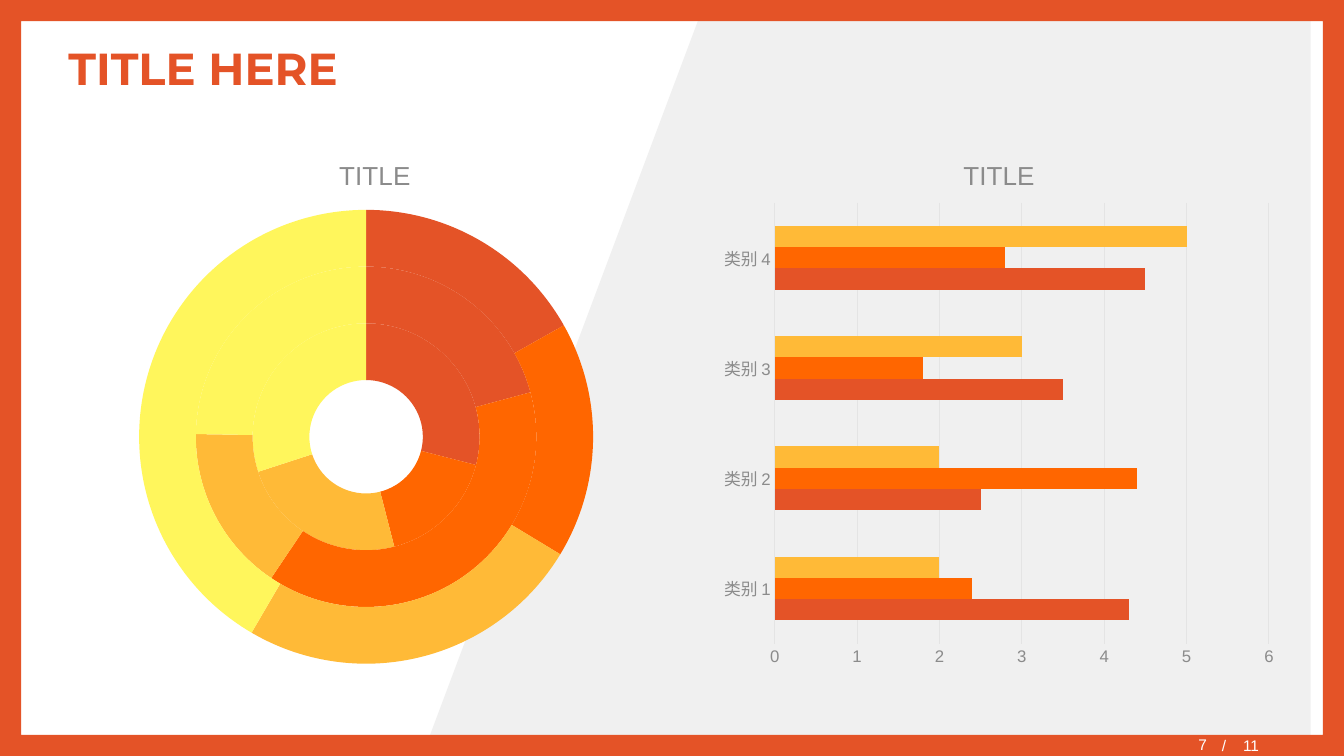
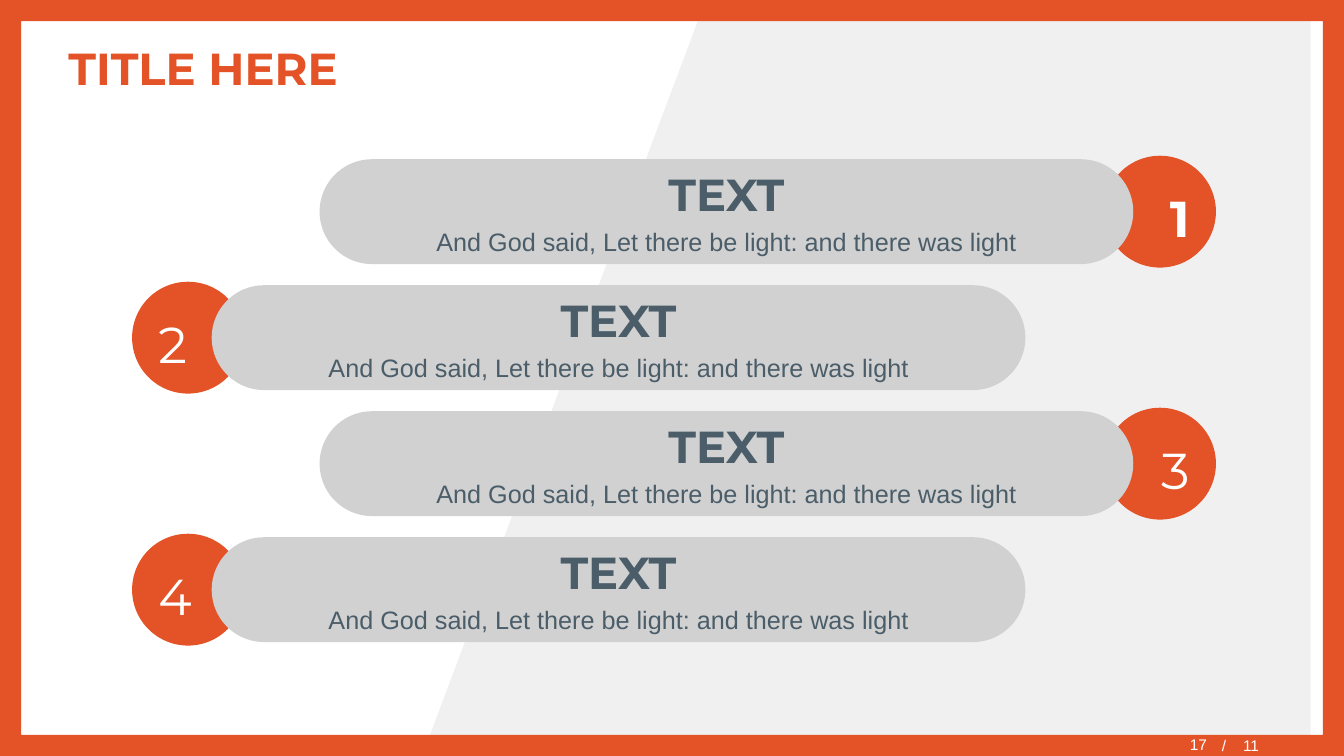
from lxml import etree
from pptx import Presentation
from pptx import util as u
from pptx.chart.data import CategoryChartData
from pptx.dml.color import RGBColor
from pptx.enum import chart as charts, shapes, text
from pptx.oxml import parse_xml
from pptx.oxml.ns import nsdecls, qn

WIDTH, HEIGHT = 13.33, 7.5
RED = RGBColor(0xE4, 0x53, 0x27)
ORANGE = RGBColor(0xFF, 0x66, 0x00)
AMBER = RGBColor(0xFF, 0xBA, 0x37)
YELLOW = RGBColor(0xFF, 0xF6, 0x5C)
WHITE = RGBColor(0xFF, 0xFF, 0xFF)
PANEL = RGBColor(0xF0, 0xF0, 0xF0)
PILL = RGBColor(0xD1, 0xD1, 0xD1)
SLATE = RGBColor(0x4A, 0x5D, 0x69)
GREY = RGBColor(0x8B, 0x8B, 0x8B)
GRID = RGBColor(0xE4, 0xE4, 0xE4)
PALETTE = [RED, ORANGE, AMBER, YELLOW]

TITLE = "TITLE HERE"
TITLE_FONT = dict(name="Montserrat", size=32, bold=True, color=RED)
HEADING_FONT = {**TITLE_FONT, "color": SLATE}
BODY_FONT = dict(name="Arial", size=18, color=SLATE)
NUMBER_FONT = dict(name="Montserrat", size=36, color=WHITE)
PAGE_FONT = dict(name="Arial", size=11, color=WHITE)
CHART_TITLE_FONT = dict(name="Arial", size=18.6, bold=False, color=GREY)
AXIS_FONT = dict(name="Arial", size=12, color=GREY)

LEFT, CENTER, RIGHT = (text.PP_ALIGN.LEFT, text.PP_ALIGN.CENTER,
                       text.PP_ALIGN.RIGHT)
PAGE_TOTAL = "/\t11"

CHART_TOP, CHART_WIDTH, CHART_HEIGHT = 1.31, 5.7, 5.4
CHART_TITLE = "TITLE"
TITLE_SPOT = dict(x=0.44, y=0.04)
RINGS = dict(
    kind=charts.XL_CHART_TYPE.DOUGHNUT, left=0.81,
    plot=dict(x=0.1, y=0.14, w=0.79, h=0.84),
    categories=["1", "2", "3", "4"],
    series=[(29, 17, 24, 30), (21, 39, 16, 25), (17, 17, 25, 42)],
)
BARS = dict(
    kind=charts.XL_CHART_TYPE.BAR_CLUSTERED, left=7,
    plot=dict(x=0.12, y=0.13, w=0.86, h=0.81),
    categories=["类别 1", "类别 2", "类别 3", "类别 4"],
    series=[(4.3, 2.5, 3.5, 4.5), (2.4, 4.4, 1.8, 2.8), (2, 2, 3, 5)],
)

VERSE = "And God said, Let there be light: and there was light"
STEPS = [("1", "TEXT", VERSE), ("2", "TEXT", VERSE),
         ("3", "TEXT", VERSE), ("4", "TEXT", VERSE)]
PILL_WIDTH, PILL_HEIGHT, CIRCLE = 8.07, 1.04, 1.11
STEP_TOP, STEP_PITCH = 1.58, 1.25
STEP_SIDES = [dict(circle=10.95, pill=3.17, align=RIGHT),
              dict(circle=1.31, pill=2.1, align=LEFT)]


def inches(*lengths):
    return [u.Inches(length) for length in lengths]


def style(font, values):
    for key, value in values.items():
        if key == "color":
            font.color.rgb = value
        else:
            setattr(font, key, u.Pt(value) if key == "size" else value)


def write(box, lines, align=LEFT, **spacing):
    """Fill a box with one paragraph per (words, font) pair."""
    frame = box.text_frame
    frame.word_wrap = True
    frame.vertical_anchor = text.MSO_ANCHOR.MIDDLE
    for index, (words, font) in enumerate(lines):
        para = frame.add_paragraph() if index else frame.paragraphs[0]
        para.alignment = align
        for key, value in spacing.items():
            setattr(para, key, value)
        if index:
            para.space_before = u.Pt(2)
        span = para.add_run()
        span.text = words
        style(span.font, font)
    return frame


def paint(shape, color):
    shape.shadow.inherit = False
    shape.fill.solid()
    shape.fill.fore_color.rgb = color
    shape.line.fill.background()
    return shape


def add_shape(page, kind, color, *bounds):
    return paint(page.shapes.add_shape(kind, *inches(*bounds)), color)


def add_page(deck, number):
    """Add a slide with the shared panel, frame, title and page number."""
    page = deck.slides.add_slide(deck.slide_layouts[6])
    outline = page.shapes.build_freeform(7.38, 0, scale=u.Inches(1))
    outline.add_line_segments([(WIDTH, 0), (WIDTH, HEIGHT), (3.5, HEIGHT)])
    paint(outline.convert_to_shape(), PANEL)
    border = add_shape(page, shapes.MSO_SHAPE.FRAME, RED, 0, 0, WIDTH, HEIGHT)
    border.adjustments[0] = 0.028

    title = page.shapes.add_textbox(*inches(0.58, 0.28, 12.18, 0.79))
    write(title, [(TITLE, TITLE_FONT)])

    total = page.shapes.add_textbox(*inches(12.02, 7.3, 1.31, 0.18))
    frame = write(total, [(PAGE_TOTAL, PAGE_FONT)])
    tabs = etree.SubElement(frame.paragraphs[0]._p.get_or_add_pPr(),
                            qn("a:tabLst"))
    etree.SubElement(tabs, qn("a:tab"), pos=str(u.Inches(0.21)), algn="l")

    current = page.shapes.add_textbox(*inches(9.48, 7.32, 2.59, 0.18))
    frame = write(current, [(str(number), PAGE_FONT)], RIGHT)
    frame.margin_top, frame.margin_bottom = inches(0, 0.05)
    return page


def place(element, index, spot, target=""):
    """Give a chart part a manual layout, in shares of the chart."""
    for old in element.findall(qn("c:layout")):
        element.remove(old)
    modes = "".join(f'<c:{key}Mode val="edge"/>' for key in "xy")
    sizes = "".join(f'<c:{key} val="{value}"/>' for key, value in spot.items())
    element.insert(index, parse_xml(
        f'<c:layout {nsdecls("c")}><c:manualLayout>{target}{modes}{sizes}'
        "</c:manualLayout></c:layout>"))


def add_chart(page, spec_data):
    data = CategoryChartData()
    data.categories = spec_data["categories"]
    for index, values in enumerate(spec_data["series"], 1):
        data.add_series(f"Series {index}", values)
    bounds = inches(spec_data["left"], CHART_TOP, CHART_WIDTH, CHART_HEIGHT)
    chart = page.shapes.add_chart(spec_data["kind"], *bounds, data).chart
    style(chart.font, AXIS_FONT)
    chart.has_legend = False
    chart.has_title = True
    para = chart.chart_title.text_frame.paragraphs[0]
    span = para.add_run()
    span.text = CHART_TITLE
    style(span.font, CHART_TITLE_FONT)
    place(chart.chart_title._element, 1, TITLE_SPOT)
    place(chart._chartSpace.find(".//" + qn("c:plotArea")), 0,
          spec_data["plot"], '<c:layoutTarget val="inner"/>')
    return chart


def fill_part(part, color):
    part.format.fill.solid()
    part.format.fill.fore_color.rgb = color
    part.format.line.fill.background()


def add_rings(page):
    chart = add_chart(page, RINGS)
    plot = chart.plots[0]
    plot.vary_by_categories = True
    plot.has_data_labels = False
    for ring in plot.series:
        for index, color in enumerate(PALETTE):
            fill_part(ring.points[index], color)


def add_bars(page):
    chart = add_chart(page, BARS)
    plot = chart.plots[0]
    plot.vary_by_categories = False
    plot.gap_width, plot.overlap = 219, 0
    for series, color in zip(plot.series, PALETTE):
        fill_part(series, color)

    scale, names = chart.value_axis, chart.category_axis
    for axis in (scale, names):
        axis.major_tick_mark = axis.minor_tick_mark = charts.XL_TICK_MARK.NONE
        style(axis.tick_labels.font, AXIS_FONT)
    scale.minimum_scale, scale.maximum_scale, scale.major_unit = 0, 6, 1
    scale.format.line.fill.background()
    scale.has_major_gridlines = True
    for line in (scale.major_gridlines.format.line, names.format.line):
        line.color.rgb = GRID
        line.width = u.Pt(0.75)


def add_steps(page):
    for index, (number, heading, body) in enumerate(STEPS):
        side = STEP_SIDES[index % 2]
        top = STEP_TOP + index * STEP_PITCH
        circle = add_shape(page, shapes.MSO_SHAPE.OVAL, RED, side["circle"],
                           top - (CIRCLE - PILL_HEIGHT) / 2, CIRCLE, CIRCLE)
        number_font = {**NUMBER_FONT, "bold": index == 0}
        write(circle, [(number, number_font)], side["align"],
              line_spacing=1.2, space_after=u.Pt(2))
        pill = add_shape(page, shapes.MSO_SHAPE.ROUNDED_RECTANGLE, PILL,
                         side["pill"], top, PILL_WIDTH, PILL_HEIGHT)
        pill.adjustments[0] = 0.5
        write(pill, [(heading, HEADING_FONT), (body, BODY_FONT)], CENTER,
              space_after=u.Pt(2))


def main():
    deck = Presentation()
    deck.slide_width, deck.slide_height = inches(WIDTH, HEIGHT)
    chart_page = add_page(deck, 7)
    add_rings(chart_page)
    add_bars(chart_page)
    add_steps(add_page(deck, 17))
    deck.save("out.pptx")


if __name__ == "__main__":
    main()
